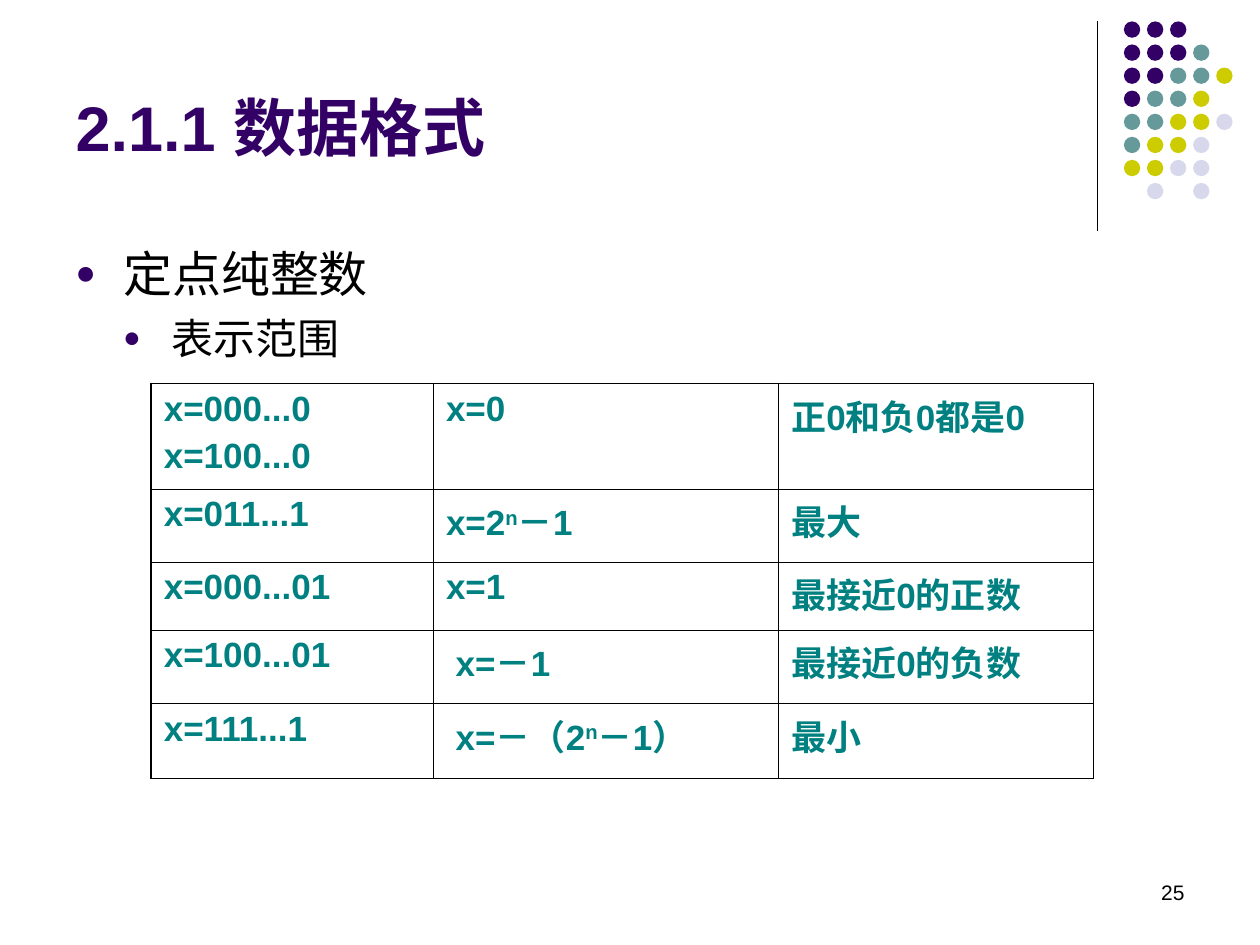
from dataclasses import dataclass

from lxml.etree import SubElement
from pptx import Presentation
from pptx.dml.color import RGBColor as RGB
from pptx.enum.shapes import MSO_CONNECTOR as Connector, MSO_SHAPE as Shape
from pptx.enum.text import MSO_ANCHOR as Anchor, PP_ALIGN as Align
from pptx.oxml.ns import qn
from pptx.util import Inches, Pt


@dataclass(frozen=True)
class Theme:
    face: str = "Arial"
    accent: str = "330066"
    ink: str = "000000"
    table_ink: str = "008080"
    teal: str = "669999"
    olive: str = "CCCC00"
    pale: str = "D8D8EC"
    title_size: int = 36
    topic_size: int = 28
    subtopic_size: int = 24
    table_size: int = 20
    number_size: int = 12
    thin: float = 0.45
    thick: float = 1.08


THEME = Theme()
DOT_ROWS = ["PPP", "PPPT", "PPTTO", "PTTO", "TTOOL", "TOOL", "OOLL", " L L"]
DOT_COLORS = {"P": THEME.accent, "T": THEME.teal, "O": THEME.olive, "L": THEME.pale}
TOPICS = [("定点纯整数", THEME.topic_size), ("表示范围", THEME.subtopic_size)]
COLUMNS = [2.24, 2.74, 2.5]
ROWS = [0.84, 0.58, 0.54, 0.58, 0.6]
RANGES = [
    ["x=000...0\nx=100...0", "x=0", "正0和负0都是0"],
    ["x=011...1", "x=2^n^－1", "最大"],
    ["x=000...01", "x=1", "最接近0的正数"],
    ["x=100...01", " x=－1", "最接近0的负数"],
    ["x=111...1", " x=－（2^n^－1）", "最小"],
]


def apply(target, formats):
    for name, value in formats.items():
        setattr(target, name, value)


def style(font, size, color, bold=False):
    apply(font, {"name": THEME.face, "size": Pt(size), "bold": bold})
    font.color.rgb = RGB.from_string(color)


def place(part, box):
    apply(part, dict(zip(("left", "top", "width", "height"), map(Inches, box))))


def add_title(slide, box):
    title = slide.shapes.title
    place(title, box)
    frame = title.text_frame
    frame.text = "2.1.1 数据格式"
    frame.vertical_anchor = Anchor.MIDDLE
    heading = frame.paragraphs[0]
    heading.alignment = Align.LEFT
    style(heading.runs[0].font, THEME.title_size, THEME.accent, True)


def add_ornament(slide, box):
    left, top, width, height = box
    rule = slide.shapes.add_connector(
        Connector.STRAIGHT, *map(Inches, (left, top, left, top + height)))
    rule.line.color.rgb = RGB.from_string(THEME.ink)
    rule.line.width = Pt(0.75)
    SubElement(rule._element.spPr, qn("a:effectLst"))
    pitch = (width - 0.2) / 4.75
    for row, marks in enumerate(DOT_ROWS):
        for column, mark in enumerate(marks):
            if mark == " ":
                continue
            dot = slide.shapes.add_shape(Shape.OVAL, *map(Inches, (
                left + 0.21 + column * pitch, top + row * pitch, 0.13, 0.13)))
            dot.shadow.inherit = False
            dot.fill.solid()
            dot.fill.fore_color.rgb = RGB.from_string(DOT_COLORS[mark])
            dot.line.fill.background()


def add_bullet(paragraph, level):
    props = paragraph._p.get_or_add_pPr()
    indent = Inches(0.38)
    props.set("marL", str(indent * (level + 1)))
    props.set("indent", str(-indent))
    color = SubElement(props, qn("a:buClr"))
    SubElement(color, qn("a:srgbClr"), val=THEME.accent)
    SubElement(props, qn("a:buSzPct"), val="70000")
    SubElement(props, qn("a:buFont"), typeface=THEME.face)
    SubElement(props, qn("a:buChar"), char="●")


def add_topics(slide, box):
    frame = slide.shapes.add_textbox(*map(Inches, box)).text_frame
    frame.word_wrap = True
    for level, (topic, size) in enumerate(TOPICS):
        paragraph = frame.add_paragraph() if level else frame.paragraphs[0]
        paragraph.level = level
        add_bullet(paragraph, level)
        if level:
            paragraph.space_before = Pt(6)
        run = paragraph.add_run()
        run.text = topic
        style(run.font, size, THEME.ink)


def fill_cell(cell, content):
    frame = cell.text_frame
    for index, line in enumerate(content.split("\n")):
        paragraph = frame.add_paragraph() if index else frame.paragraphs[0]
        if index:
            paragraph.space_before = Pt(5)
        for part, words in enumerate(line.split("^")):
            run = paragraph.add_run()
            run.text = words
            style(run.font, THEME.table_size, THEME.table_ink, True)
            if part % 2:
                run._r.get_or_add_rPr().set("baseline", "30000")


def border_cell(cell, widths):
    props = cell._tc.get_or_add_tcPr()
    for side, width in widths.items():
        edge = SubElement(props, qn(f"a:ln{side}"), w=str(Pt(width)))
        paint = SubElement(edge, qn("a:solidFill"))
        SubElement(paint, qn("a:srgbClr"), val=THEME.ink)


def add_ranges(slide, box):
    table = slide.shapes.add_table(len(ROWS), len(COLUMNS), *map(Inches, box)).table
    apply(table, {"first_row": False, "horz_banding": False})
    for column, width in zip(table.columns, COLUMNS):
        column.width = Inches(width)
    for row, height in zip(table.rows, ROWS):
        row.height = Inches(height)
    for r, contents in enumerate(RANGES):
        for c, content in enumerate(contents):
            cell = table.cell(r, c)
            fill_cell(cell, content)
            outer = {"L": c == 0, "R": c == len(COLUMNS) - 1,
                     "T": False, "B": r == len(ROWS) - 1}
            border_cell(cell, {side: THEME.thick if edge else THEME.thin
                               for side, edge in outer.items()})
            cell.fill.background()


def add_number(slide, box):
    frame = slide.shapes.add_textbox(*map(Inches, box)).text_frame
    apply(frame, {"word_wrap": True, "vertical_anchor": Anchor.MIDDLE, "text": "25"})
    number = frame.paragraphs[0]
    number.alignment = Align.RIGHT
    style(number.runs[0].font, THEME.number_size, THEME.ink)


def main():
    deck = Presentation()
    apply(deck, {"slide_width": Inches(10), "slide_height": Inches(7.5)})
    slide = deck.slides.add_slide(deck.slide_layouts[5])
    add_ornament(slide, (8.71, 0.17, 1.07, 1.66))
    add_title(slide, (0.5, 0.29, 8.18, 1.42))
    add_topics(slide, (0.5, 1.88, 9, 4.82))
    add_number(slide, (7.17, 6.83, 2.33, 0.5))
    add_ranges(slide, (1.2, 3.04, sum(COLUMNS), sum(ROWS)))
    deck.save("out.pptx")


if __name__ == "__main__":
    main()
